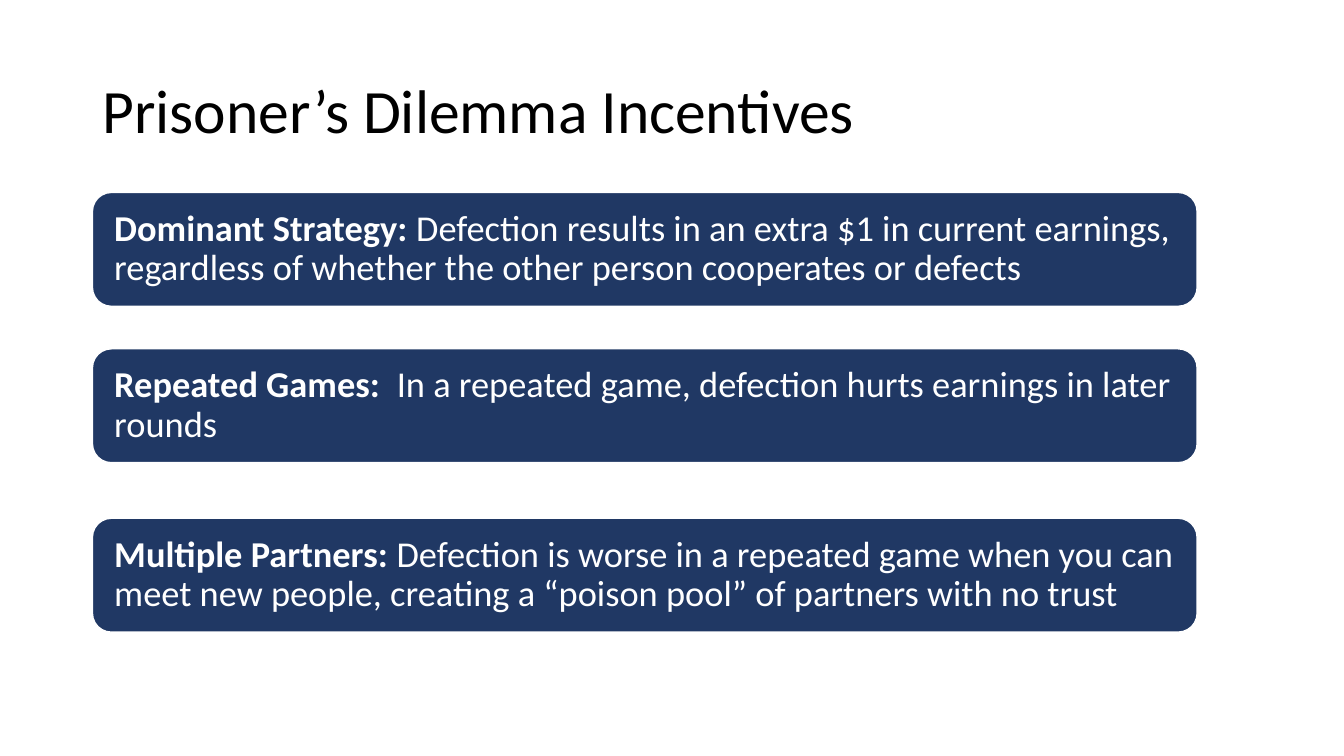
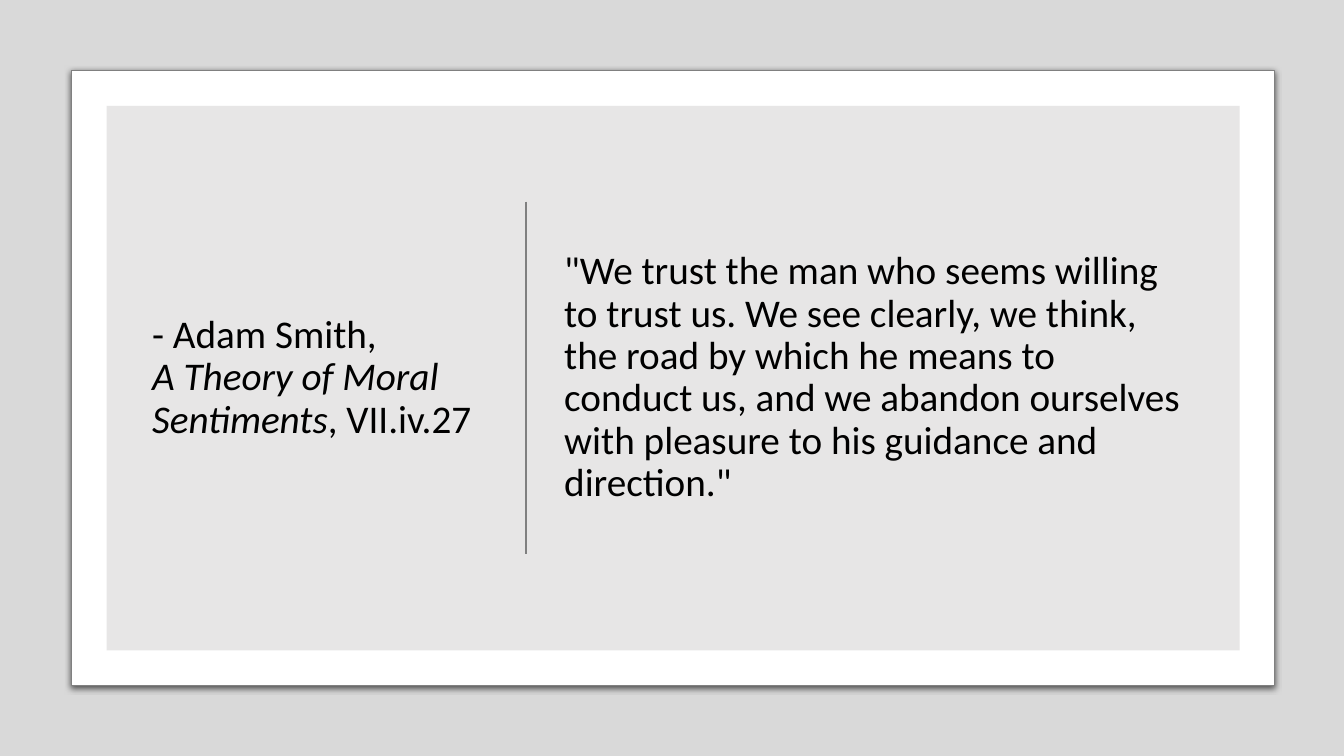
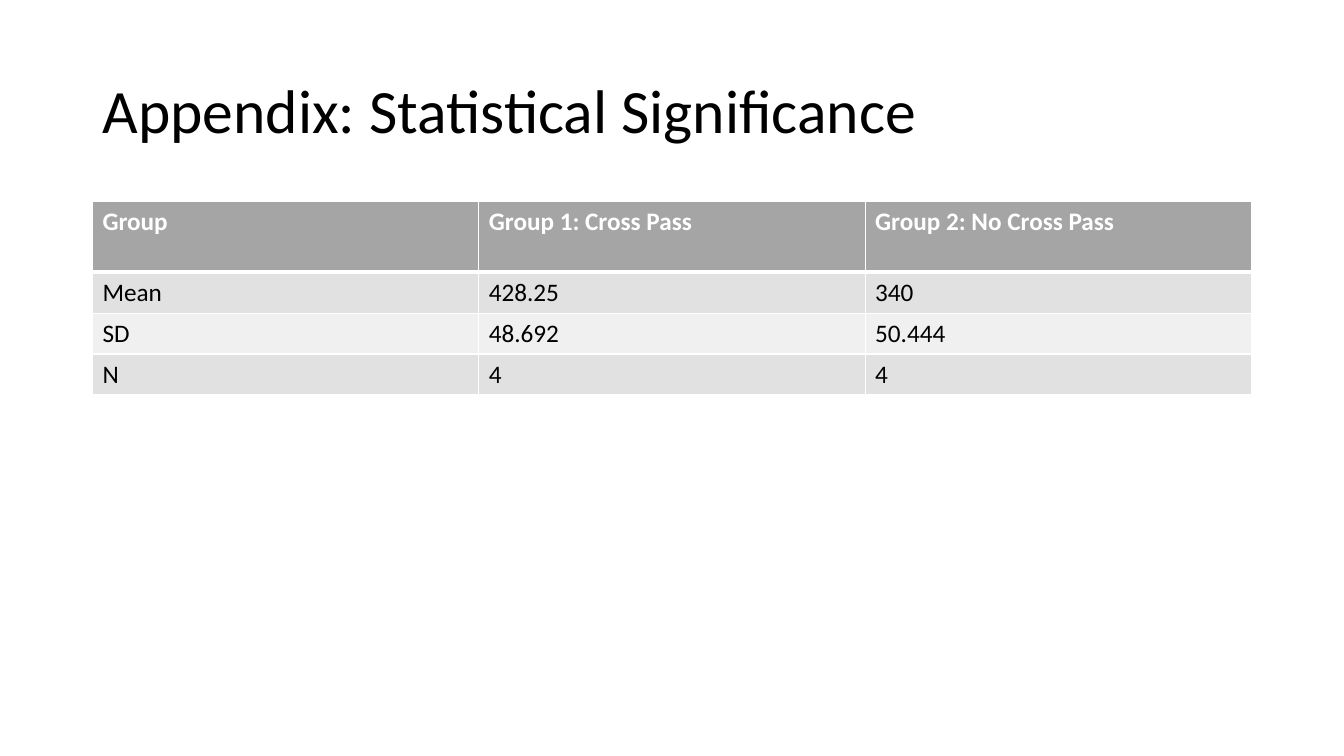
from lxml import etree
from pptx import Presentation
from pptx.dml.color import RGBColor
from pptx.enum import shapes, text
from pptx.oxml import parse_xml
from pptx.oxml.ns import nsdecls, qn
from pptx.util import Cm, Pt

HUE = {"ink": "000000", "paper": "FFFFFF", "navy": "203864", "panel": "E7E6E6",
       "rule": "808080", "head": "A5A5A5", "odd": "E1E1E1", "even": "F0F0F0"}
FONT = "Calibri"
LEFT, WIDE = 2.33, 29.21
KIND = shapes.MSO_SHAPE


def write(frame, parts, size=28, color="ink", space=0.9, pad=None,
          anchor=text.MSO_ANCHOR.MIDDLE):
    """Fill a frame with (words, style) parts; a style is "b", "i" or empty."""
    frame.word_wrap = True
    frame.auto_size = text.MSO_AUTO_SIZE.NONE
    frame.vertical_anchor = anchor
    if pad is not None:
        frame.margin_left = frame.margin_right = Cm(pad)
    para = frame.paragraphs[0]
    para.alignment = text.PP_ALIGN.LEFT
    para.line_spacing = space
    for words, style in parts:
        if words == "\n":
            para.add_line_break()
            continue
        run = para.add_run()
        run.text = words
        run.font.name = FONT
        run.font.size = Pt(size)
        run.font.bold = style == "b"
        run.font.italic = style == "i"
        run.font.color.rgb = RGBColor.from_string(HUE[color])


def block(slide, kind, box, fill, line=None, width=1):
    """Add a filled shape; box is left, top, width and height in cm."""
    shape = slide.shapes.add_shape(kind, *map(Cm, box))
    shape.shadow.inherit = False
    shape.fill.solid()
    shape.fill.fore_color.rgb = RGBColor.from_string(HUE[fill])
    if line:
        shape.line.color.rgb = RGBColor.from_string(HUE[line])
        shape.line.width = Pt(width)
    else:
        shape.line.fill.background()
    return shape


deck = Presentation()
deck.slide_width, deck.slide_height = Cm(33.87), Cm(19.05)

# Titles: place, words, size
heads = [
    ((LEFT, 1.02, WIDE, 3.68), [("Prisoner’s Dilemma Incentives", "")], 44),
    ((3.58, 3.81, 8.92, 11.43),
     [("- Adam Smith, ", ""), ("\n", ""), ("A Theory of Moral Sentiments", "i"),
      (", VII.iv.27", "")], 28),
    ((LEFT, 1.02, WIDE, 3.68), [("Appendix: Statistical Significance", "")], 44),
]
for box, parts, size in heads:
    title = deck.slides.add_slide(deck.slide_layouts[5]).shapes.title
    title.left, title.top, title.width, title.height = map(Cm, box)
    write(title.text_frame, parts, size=size)
games, quote, stats = deck.slides

# Incentive cards
cards = [
    (4.85, "Dominant Strategy: ",
     "Defection results in an extra $1 in current earnings, regardless of "
     "whether the other person cooperates or defects"),
    (8.79, "Repeated Games: ",
     " In a repeated game, defection hurts earnings in later rounds"),
    (13.06, "Multiple Partners: ",
     "Defection is worse in a repeated game when you can meet new people, "
     "creating a “poison pool” of partners with no trust"),
]
for top, label, words in cards:
    card = block(games, KIND.ROUNDED_RECTANGLE, (LEFT, top, 27.84, 2.87),
                 "navy", "paper")
    write(card.text_frame, [(label, "b"), (words, "")], size=26,
          color="paper", pad=0.41)

# Framed quotation
veil = block(quote, KIND.RECTANGLE, (0, 0, 33.87, 19.05), "ink")
tint = veil.fill._xPr.find(qn("a:solidFill"))[0]
etree.SubElement(tint, qn("a:alpha"), val="15000")

frame = block(quote, KIND.RECTANGLE, (1.8, 1.78, 30.33, 15.49),
              "paper", "rule", 0.75)
frame._element.spPr.find(qn("a:effectLst")).append(parse_xml(
    f'<a:outerShdw {nsdecls("a")} blurRad="{Pt(4.5)}" dist="{Pt(1.5)}" '
    'dir="5400000" algn="t" rotWithShape="0"><a:srgbClr val="000000">'
    '<a:alpha val="63000"/></a:srgbClr></a:outerShdw>'))
block(quote, KIND.RECTANGLE, (2.69, 2.67, 28.55, 13.72), "panel")
quote.shapes._spTree.append(quote.shapes.title._element)  # bring to front

rule = quote.shapes.add_connector(shapes.MSO_CONNECTOR.STRAIGHT,
                                  Cm(13.26), Cm(5.08), Cm(13.26), Cm(13.97))
rule.line.color.rgb = RGBColor.from_string(HUE["rule"])
rule.line.width = Pt(1.5)
etree.SubElement(rule._element.spPr, qn("a:effectLst"))

words = quote.shapes.add_textbox(Cm(13.97), Cm(3.81), Cm(16.31), Cm(11.43))
write(words.text_frame, [(
    '"We trust the man who seems willing to trust us. We see clearly, we think, '
    'the road by which he means to conduct us, and we abandon ourselves with '
    'pleasure to his guidance and direction."', "")])

# Statistics table
rows = [
    ("Group", "Group 1: Cross Pass", "Group 2: No Cross Pass"),
    ("Mean", "428.25", "340"),
    ("SD", "48.692", "50.444"),
    ("N", "4", "4"),
]
table = stats.shapes.add_table(len(rows), 3, Cm(LEFT), Cm(5.08),
                               Cm(WIDE), Cm(4.88)).table
for r, row in enumerate(rows):
    table.rows[r].height = Cm(1.03 if r else 1.78)
    fill = ("even" if r % 2 == 0 else "odd") if r else "head"
    for c, words in enumerate(row):
        cell = table.cell(r, c)
        write(cell.text_frame, [(words, "" if r else "b")], size=18, space=1.0,
              color="ink" if r else "paper", anchor=text.MSO_ANCHOR.TOP)
        for side in ("L", "R", "T", "B"):
            thick = 3 if (r, side) in ((0, "B"), (1, "T")) else 1
            cell._tc.get_or_add_tcPr().append(parse_xml(
                f'<a:ln{side} {nsdecls("a")} w="{Pt(thick)}"><a:solidFill>'
                f'<a:srgbClr val="{HUE["paper"]}"/></a:solidFill></a:ln{side}>'))
        cell.fill.solid()
        cell.fill.fore_color.rgb = RGBColor.from_string(HUE[fill])

deck.save("out.pptx")
